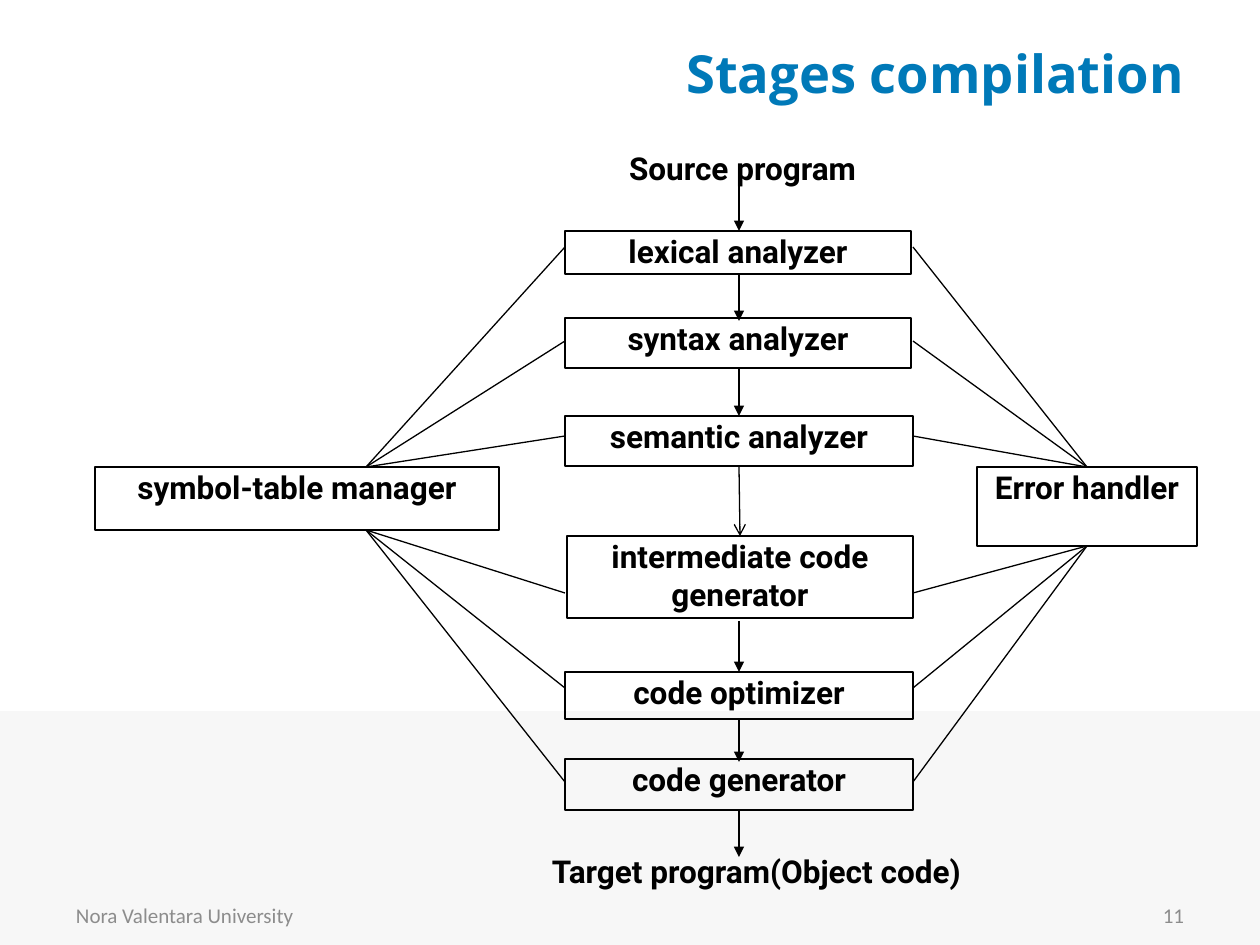
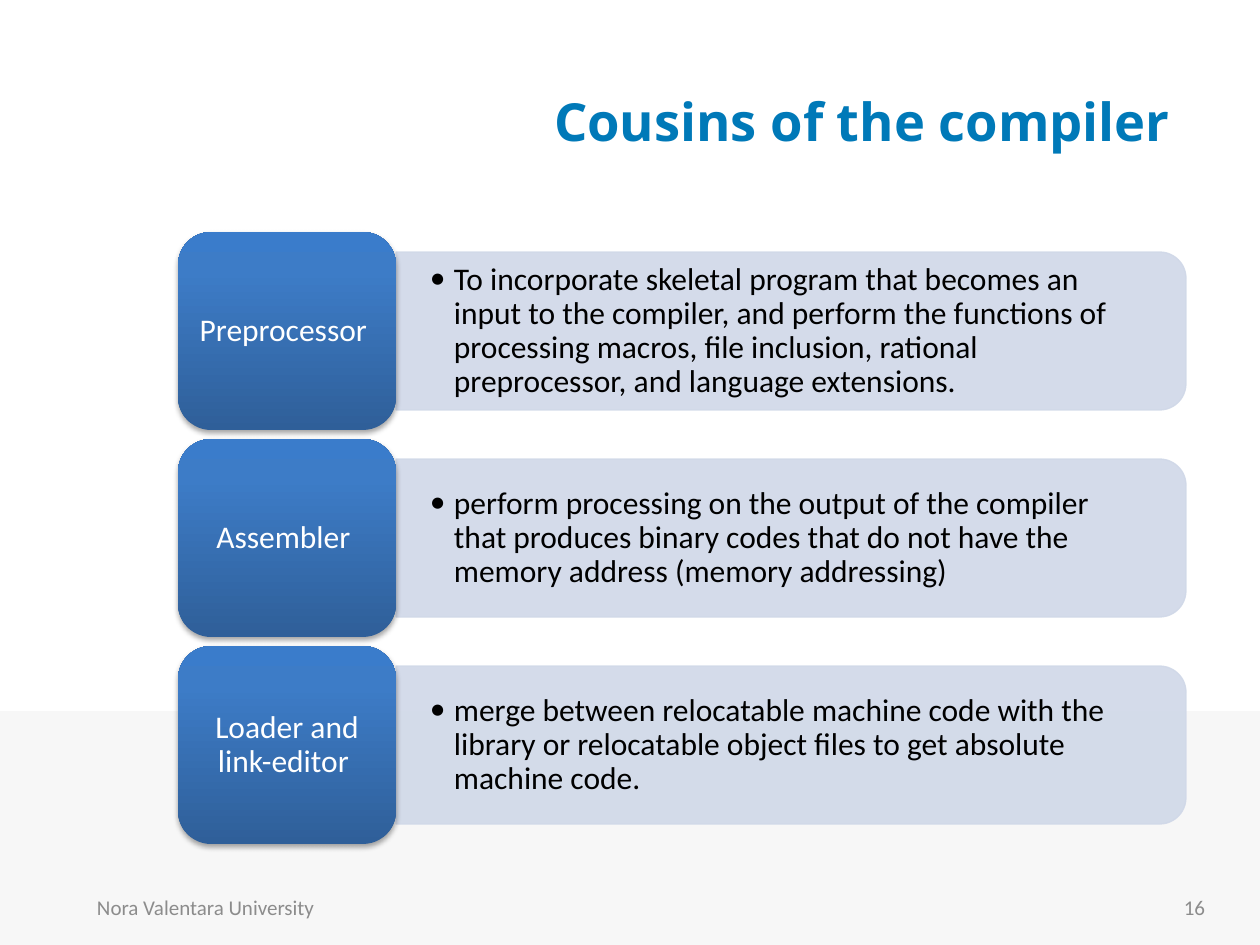
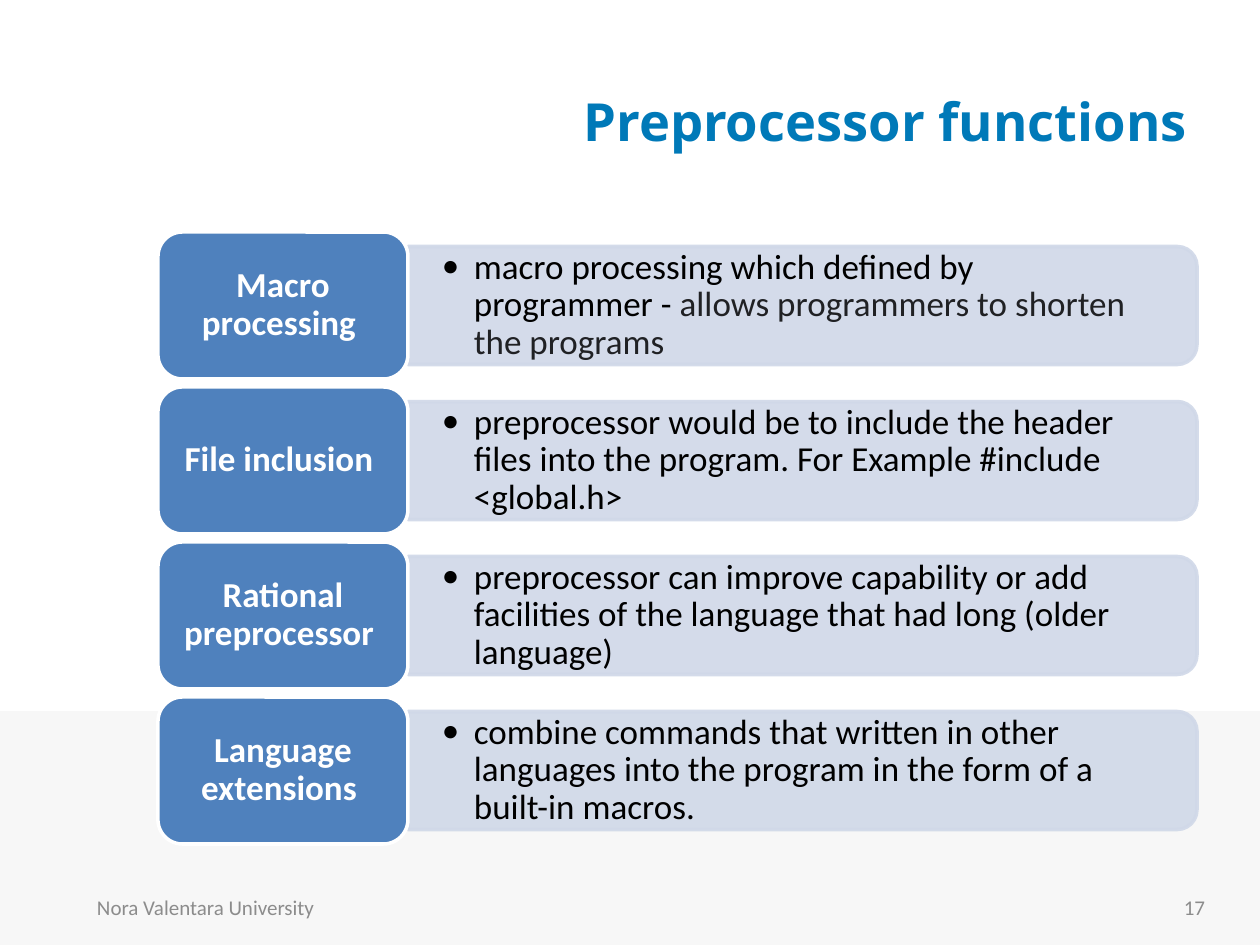
import dataclasses

import pptx
import pptx.dml.color
import pptx.enum.dml
import pptx.enum.shapes
import pptx.enum.text
import pptx.oxml
import pptx.oxml.ns
import pptx.util
from lxml import etree

ALIGN = pptx.enum.text.PP_ALIGN
ANCHOR = pptx.enum.text.MSO_ANCHOR
PRESET = pptx.enum.shapes.MSO_SHAPE
qn = pptx.oxml.ns.qn

# ---- content ----
FOOTER = "Nora Valentara University"

STAGES = {
    "number": "11",
    "title": "Stages compilation",
    "title_box": (388, 10, 809, 126),
    "footer": (63, 903, 890),
    # label, left, top, width, height
    "phases": [
        ("lexical analyzer", 565, 231, 346, 43),
        ("syntax analyzer", 565, 318, 346, 50),
        ("semantic analyzer", 565, 416, 348, 50),
        ("intermediate code generator", 567, 536, 346, 82),
        ("code optimizer", 565, 672, 348, 47),
        ("code generator", 565, 759, 348, 51),
    ],
    "services": [
        ("symbol-table manager", 95, 467, 404, 63),
        ("Error handler", 977, 467, 220, 79),
    ],
    "ends": [
        ("Source program ", 577, 148, 339, 32),
        ("Target program(Object code)", 494, 851, 525, 50),
    ],
    "flow_x": 739,
    "flow": [(184, 231), (275, 321), (369, 416), (621, 672), (719, 762), (810, 857)],
    "open_arrow": (739, 466, 740, 536),
    "spoke_ys": [247, 341, 436, 593, 688, 782],
    # x at the phases, x at the service, service top, service bottom
    "hubs": [(565, 366, 467, 530), (913, 1087, 467, 546)],
}

COUSINS = {
    "number": "16",
    "title": "Cousins of the compiler ",
    "title_box": (223, 41, 974, 158),
    "footer": (84, 924, 882),
    "rows": [
        ("Preprocessor ", "To incorporate skeletal program that becomes an input to the compiler, "
         "and perform the functions of processing macros, file inclusion, rational "
         "preprocessor, and language extensions.", ""),
        ("Assembler ", "perform processing on the output of the compiler that produces binary "
         "codes that do not have the memory address (memory addressing)", ""),
        ("Loader and link-editor ", "merge between relocatable machine code with the library or "
         "relocatable object files to get absolute machine code.", ""),
    ],
    "tile": (178, 232, 218, 198),
    "pitch": 207,
    "panel": (396, 790, 158),
    "body": (782, 142),
    "indent": 24,
    "glossy": True,
}

FUNCTIONS = {
    "number": "17",
    "title": "Preprocessor functions",
    "title_box": (226, 41, 974, 158),
    "footer": (84, 924, 882),
    "rows": [
        ("Macro processing ", "macro processing which defined by programmer - ",
         "allows programmers to shorten the programs"),
        ("File inclusion ", "preprocessor would be to include the header files into the "
         "program. For Example #include <global.h>", ""),
        ("Rational preprocessor ", "preprocessor can improve capability or add facilities of "
         "the language that had long (older language)", ""),
        ("Language extensions ", "combine commands that written in other languages into the "
         "program in the form of a built-in macros.", ""),
    ],
    "tile": (158, 232, 250, 147),
    "pitch": 155,
    "panel": (408, 789, 118),
    "body": (784, 107),
    "indent": 32,
    "glossy": False,
}


# ---- theme ----
@dataclasses.dataclass(frozen=True)
class Type:
    font: str
    size: int
    color: str
    bold: bool = False


@dataclasses.dataclass(frozen=True)
class Theme:
    band: str = "F7F7F7"
    ink: str = "000000"
    aside: str = "202124"
    panel: str = "D0D8E8"
    tile: str = "4F81BD"
    tile_edge: str = "FFFFFF"
    gloss: tuple = ((0, "2F5F99"), (80, "3D7CC7"), (100, "3A7CCB"))
    title: Type = Type("Open Sans", 30, "0079B8", True)
    footer: Type = Type("Calibri", 12, "8C8C8C")
    diagram: Type = Type("Roboto", 18, "000000", True)
    glossy_label: Type = Type("Calibri", 18, "FFFFFF")
    glossy_body: Type = Type("Calibri", 18, "000000")
    flat_label: Type = Type("Calibri", 20, "FFFFFF", True)
    flat_body: Type = Type("Calibri", 20, "000000")


THEME = Theme()
WIDTH, HEIGHT = 1260, 945
EMU_PER_PX = 914400 / 126


def px(*lengths):
    return [round(length * EMU_PER_PX) for length in lengths]


def rgb(color):
    return pptx.dml.color.RGBColor.from_string(color)


# ---- parts ----
def write(holder, text, style, align=ALIGN.LEFT, anchor=ANCHOR.MIDDLE,
          margins=(13, 6), spacing=None, indent=0):
    """Put one paragraph in a shape; a non-zero indent gives it a hanging bullet."""
    frame = holder.text_frame
    frame.word_wrap = True
    frame.vertical_anchor = anchor
    across, down = px(*margins)
    frame.margin_left = frame.margin_right = across
    frame.margin_top = frame.margin_bottom = down
    paragraph = frame.paragraphs[0]
    paragraph.text = text
    paragraph.alignment = align
    if indent:
        hang = px(indent)[0]
        properties = paragraph._p.get_or_add_pPr()
        properties.set("marL", str(hang))
        properties.set("indent", str(-hang))
        etree.SubElement(properties, qn("a:buFont")).set("typeface", style.font)
        etree.SubElement(properties, qn("a:buChar")).set("char", "•")
    if spacing:
        paragraph.line_spacing = spacing
    font = paragraph.font
    font.name, font.size, font.bold = style.font, pptx.util.Pt(style.size), style.bold
    font.color.rgb = rgb(style.color)
    return paragraph


def add_text(slide, box, text, style, **layout):
    return write(slide.shapes.add_textbox(*px(*box)), text, style, **layout)


def add_block(slide, preset, box, fill=None, edge=None, weight=0.75):
    block = slide.shapes.add_shape(preset, *px(*box))
    block.shadow.inherit = False
    if fill:
        block.fill.solid()
        block.fill.fore_color.rgb = rgb(fill)
    else:
        block.fill.background()
    if edge:
        block.line.color.rgb = rgb(edge)
        block.line.width = pptx.util.Pt(weight)
    else:
        block.line.fill.background()
    return block


def add_line(slide, ends, head=None):
    line = slide.shapes.add_connector(pptx.enum.shapes.MSO_CONNECTOR.STRAIGHT, *px(*ends))
    line.line.color.rgb = rgb(THEME.ink)
    line.line.width = pptx.util.Pt(0.75)
    properties = line.element.spPr
    if head:
        etree.SubElement(properties.find(qn("a:ln")), qn("a:tailEnd")).set("type", head)
    etree.SubElement(properties, qn("a:effectLst"))


def add_panel(slide, left, top, width, height):
    """Pale panel rounded on its right side, made by a quarter turn."""
    shift = (width - height) / 2
    panel = add_block(slide, PRESET.ROUND_2_SAME_RECTANGLE,
                      (left + shift, top - shift, height, width), THEME.panel, THEME.panel)
    panel.rotation = 90
    for color in panel.element.spPr.iter(qn("a:srgbClr")):
        etree.SubElement(color, qn("a:alpha")).set("val", "90000")
    return panel


def add_gloss(tile):
    """Give a tile its upward gradient and soft drop shadow."""
    tile.fill.gradient()
    tile.fill.gradient_angle = 90
    properties = tile.element.spPr
    stops = properties.find(qn("a:gradFill")).find(qn("a:gsLst"))
    for stop in list(stops):
        stops.remove(stop)
    for percent, color in THEME.gloss:
        stop = etree.SubElement(stops, qn("a:gs"), pos=str(percent * 1000))
        etree.SubElement(stop, qn("a:srgbClr"), val=color)
    shadow = etree.SubElement(properties.find(qn("a:effectLst")), qn("a:outerShdw"),
                              blurRad="40000", dist="23000", dir="5400000", rotWithShape="0")
    shade = etree.SubElement(shadow, qn("a:srgbClr"), val=THEME.ink)
    etree.SubElement(shade, qn("a:alpha"), val="35000")


# ---- slides ----
def start_slide(deck, content):
    slide = deck.slides.add_slide(deck.slide_layouts[6])
    add_block(slide, PRESET.RECTANGLE, (0, 711, WIDTH, HEIGHT - 711), THEME.band)
    add_text(slide, content["title_box"], content["title"], THEME.title, align=ALIGN.RIGHT)
    name_left, number_left, top = content["footer"]
    add_text(slide, (name_left, top, 294, 50), FOOTER, THEME.footer)
    add_text(slide, (number_left, top, 294, 50), content["number"], THEME.footer,
             align=ALIGN.RIGHT)
    return slide


def build_stages(deck, content):
    slide = start_slide(deck, content)
    layout = {"align": ALIGN.CENTER, "anchor": ANCHOR.TOP, "margins": (1, 1)}
    for group, weight in (("phases", 1), ("services", 0.75)):
        for label, *box in content[group]:
            block = add_block(slide, PRESET.RECTANGLE, box, edge=THEME.ink, weight=weight)
            write(block, label, THEME.diagram, **layout)
    for label, *box in content["ends"]:
        add_text(slide, box, label, THEME.diagram, **layout)
    x = content["flow_x"]
    for top, bottom in content["flow"]:
        add_line(slide, (x, top, x, bottom), "triangle")
    add_line(slide, content["open_arrow"], "arrow")
    for phase_x, service_x, top, bottom in content["hubs"]:
        for y in content["spoke_ys"]:
            add_line(slide, (phase_x, y, service_x, top if y < top else bottom))


def build_rows(deck, content):
    slide = start_slide(deck, content)
    glossy = content["glossy"]
    label_type = THEME.glossy_label if glossy else THEME.flat_label
    body_type = THEME.glossy_body if glossy else THEME.flat_body
    tile_left, first_top, tile_width, tile_height = content["tile"]
    panel_left, panel_width, panel_height = content["panel"]
    body_width, body_height = content["body"]
    for index, (label, body, aside) in enumerate(content["rows"]):
        top = first_top + index * content["pitch"]
        middle = top + tile_height / 2
        panel = add_panel(slide, panel_left, middle - panel_height / 2,
                          panel_width, panel_height)
        paragraph = add_text(slide, (panel_left, middle - body_height / 2, body_width, body_height),
                             body, body_type, margins=(34, 18), spacing=0.9,
                             indent=content["indent"])
        if aside:
            run = paragraph.add_run()
            run.text = aside
            run.font.color.rgb = rgb(THEME.aside)
        tile = add_block(slide, PRESET.ROUNDED_RECTANGLE,
                         (tile_left, top, tile_width, tile_height), THEME.tile)
        if glossy:
            add_gloss(tile)
        else:
            panel.line.width = tile.line.width = pptx.util.Pt(2)
            tile.line.color.rgb = rgb(THEME.tile_edge)
        write(tile, label, label_type, align=ALIGN.CENTER, margins=(9, 5), spacing=0.9)


def main():
    deck = pptx.Presentation()
    deck.slide_width, deck.slide_height = px(WIDTH, HEIGHT)
    build_stages(deck, STAGES)
    build_rows(deck, COUSINS)
    build_rows(deck, FUNCTIONS)
    deck.save("out.pptx")


if __name__ == "__main__":
    main()
